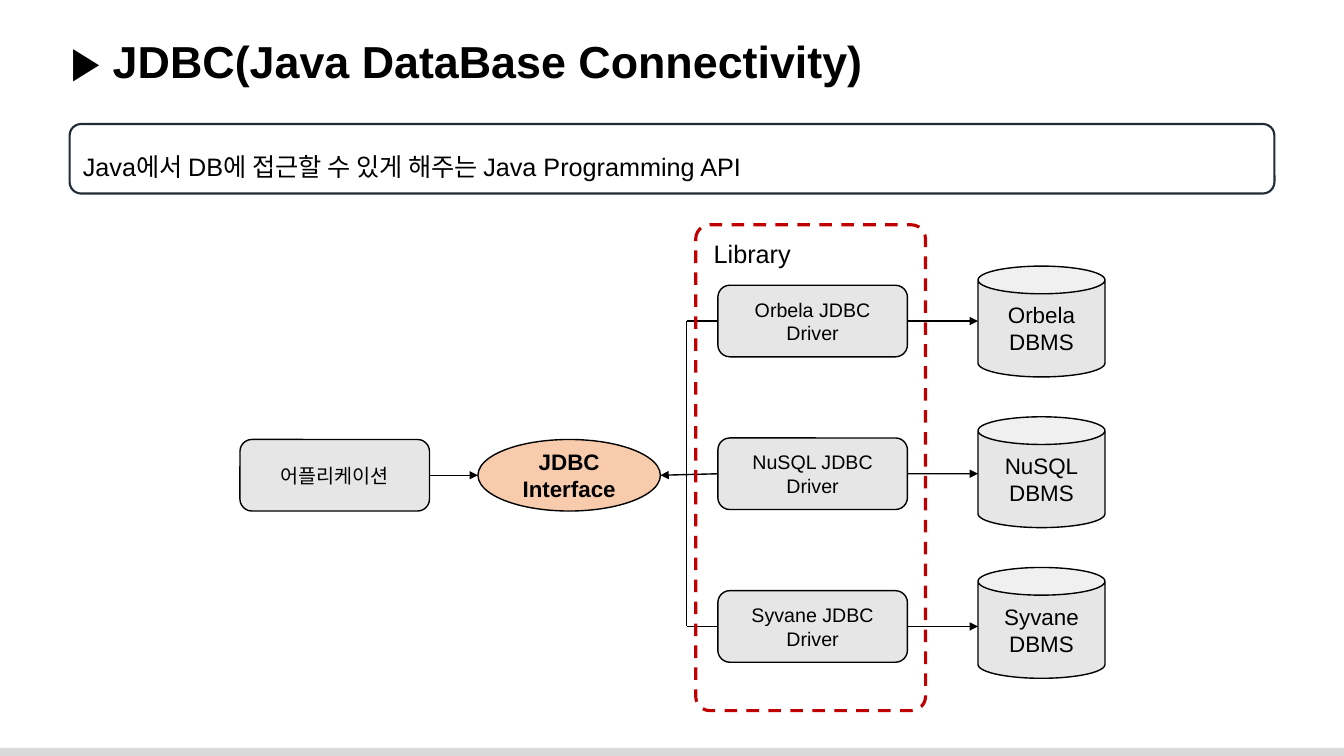
from lxml.etree import SubElement
from pptx import Presentation
from pptx.dml.color import RGBColor
from pptx.enum.dml import MSO_LINE
from pptx.enum.shapes import MSO_CONNECTOR, MSO_SHAPE
from pptx.enum.text import MSO_ANCHOR, PP_ALIGN
from pptx.oxml.ns import qn
from pptx.util import Inches, Pt

BLACK = RGBColor(0x00, 0x00, 0x00)
NAVY = RGBColor(0x22, 0x2A, 0x35)
RED = RGBColor(0xC0, 0x00, 0x00)
GRAY = RGBColor(0xE7, 0xE6, 0xE6)
BAR_GRAY = RGBColor(0xD9, 0xD9, 0xD9)
PEACH = RGBColor(0xF8, 0xCB, 0xAD)

VENDORS = ("Orbela", "NuSQL", "Syvane")
LEFT_SIDE, RIGHT_SIDE = 1, 3
BOX_WIDTH, BOX_HEIGHT = 1.88, 0.71
DRIVER_LEFT, DRIVER_TOP, DRIVER_PITCH = 7.12, 2.83, 1.515
DATABASE_LEFT, DATABASE_TOP, DATABASE_PITCH = 9.7, 2.64, 1.495
INTERFACE_LEFT, INTERFACE_WIDTH = 4.74, 1.81
ROW_TOP = 4.36
ROW_MIDDLE = ROW_TOP + BOX_HEIGHT / 2
BUS_X = 6.81


def write(frame, lines, size, bold=False, align=PP_ALIGN.CENTER):
    frame.text = "\n".join(lines)
    for paragraph in frame.paragraphs:
        paragraph.alignment = align
        font = paragraph.font
        font.name = "Arial"
        font.size = Pt(size)
        font.bold = bold
        font.color.rgb = BLACK


def add_box(slide, kind, left, top, width, height, fill=None, line=BLACK, line_width=1):
    shape = slide.shapes.add_shape(
        kind, Inches(left), Inches(top), Inches(width), Inches(height))
    shape.shadow.inherit = False
    if fill is None:
        shape.fill.background()
    else:
        shape.fill.solid()
        shape.fill.fore_color.rgb = fill
    if line is None:
        shape.line.fill.background()
    else:
        shape.line.color.rgb = line
        shape.line.width = Pt(line_width)
    shape.text_frame.vertical_anchor = MSO_ANCHOR.MIDDLE
    return shape


def add_line(slide, start, end, source=None, side=None, arrow=False):
    connector = slide.shapes.add_connector(
        MSO_CONNECTOR.STRAIGHT, *(Inches(value) for value in (*start, *end)))
    connector.line.color.rgb = BLACK
    connector.line.width = Pt(1)
    if source is not None:
        connector.begin_connect(source, side)
    if arrow:
        SubElement(connector.line._get_or_add_ln(), qn("a:tailEnd"), type="triangle")
    SubElement(connector._element.spPr, qn("a:effectLst"))


def add_title(slide, text):
    title = slide.shapes.title
    title.left, title.top = Inches(0.6), Inches(0.28)
    title.width, title.height = Inches(12.6), Inches(0.64)
    write(title.text_frame, [text], 32, bold=True, align=PP_ALIGN.LEFT)
    title.text_frame.vertical_anchor = MSO_ANCHOR.TOP


def add_summary(slide, text):
    box = add_box(slide, MSO_SHAPE.ROUNDED_RECTANGLE, 0.69, 1.23, 11.95, 0.69,
                  line=NAVY, line_width=1.5)
    write(box.text_frame, [text], 18, align=PP_ALIGN.LEFT)
    box.text_frame.paragraphs[0].line_spacing = 1.5


def add_application(slide):
    application = add_box(slide, MSO_SHAPE.ROUNDED_RECTANGLE, 2.38, ROW_TOP,
                          BOX_WIDTH, BOX_HEIGHT, GRAY)
    write(application.text_frame, ["어플리케이션"], 14)
    interface = add_box(slide, MSO_SHAPE.OVAL, INTERFACE_LEFT, ROW_TOP,
                        INTERFACE_WIDTH, BOX_HEIGHT, PEACH)
    write(interface.text_frame, ["JDBC", "Interface"], 16, bold=True)
    add_line(slide, (4.26, ROW_MIDDLE), (INTERFACE_LEFT, ROW_MIDDLE),
             application, RIGHT_SIDE, arrow=True)


def add_vendor(slide, row, vendor):
    top = DRIVER_TOP + row * DRIVER_PITCH
    middle = top + BOX_HEIGHT / 2
    driver = add_box(slide, MSO_SHAPE.ROUNDED_RECTANGLE, DRIVER_LEFT, top,
                     BOX_WIDTH, BOX_HEIGHT, GRAY)
    write(driver.text_frame, [f"{vendor} JDBC", "Driver"], 14)
    database = add_box(slide, MSO_SHAPE.CAN, DATABASE_LEFT,
                       DATABASE_TOP + row * DATABASE_PITCH, 1.26, 1.1, GRAY)
    write(database.text_frame, [vendor, "DBMS"], 16)
    add_line(slide, (DRIVER_LEFT + BOX_WIDTH, middle), (DATABASE_LEFT, middle),
             driver, RIGHT_SIDE, arrow=True)
    to_interface = row == 1
    if to_interface:
        end = (INTERFACE_LEFT + INTERFACE_WIDTH, ROW_MIDDLE)
    else:
        end = (BUS_X, middle)
    add_line(slide, (DRIVER_LEFT, middle), end, driver, LEFT_SIDE, arrow=to_interface)


def add_library(slide):
    frame = add_box(slide, MSO_SHAPE.ROUNDED_RECTANGLE, 6.9, 2.23, 2.28, 4.82,
                    line=RED, line_width=2.25)
    frame.adjustments[0] = 0.062
    frame.line.dash_style = MSO_LINE.DASH
    label = slide.shapes.add_textbox(Inches(6.98), Inches(2.32), Inches(0.98), Inches(0.4))
    label.text_frame.word_wrap = False
    write(label.text_frame, ["Library"], 18, align=PP_ALIGN.LEFT)


def main():
    presentation = Presentation()
    presentation.slide_width = Inches(13.33)
    presentation.slide_height = Inches(7.5)
    slide = presentation.slides.add_slide(presentation.slide_layouts[5])
    add_box(slide, MSO_SHAPE.RECTANGLE, 0, 7.42, 13.33, 0.08, BAR_GRAY, line=None)
    add_title(slide, "▶ JDBC(Java DataBase Connectivity)")
    add_summary(slide, "Java에서 DB에 접근할 수 있게 해주는 Java Programming API")
    add_application(slide)
    for row, vendor in enumerate(VENDORS):
        add_vendor(slide, row, vendor)
    first_middle = DRIVER_TOP + BOX_HEIGHT / 2
    last_middle = first_middle + (len(VENDORS) - 1) * DRIVER_PITCH
    add_line(slide, (BUS_X, first_middle), (BUS_X, last_middle))
    add_library(slide)
    presentation.save("out.pptx")


if __name__ == "__main__":
    main()
